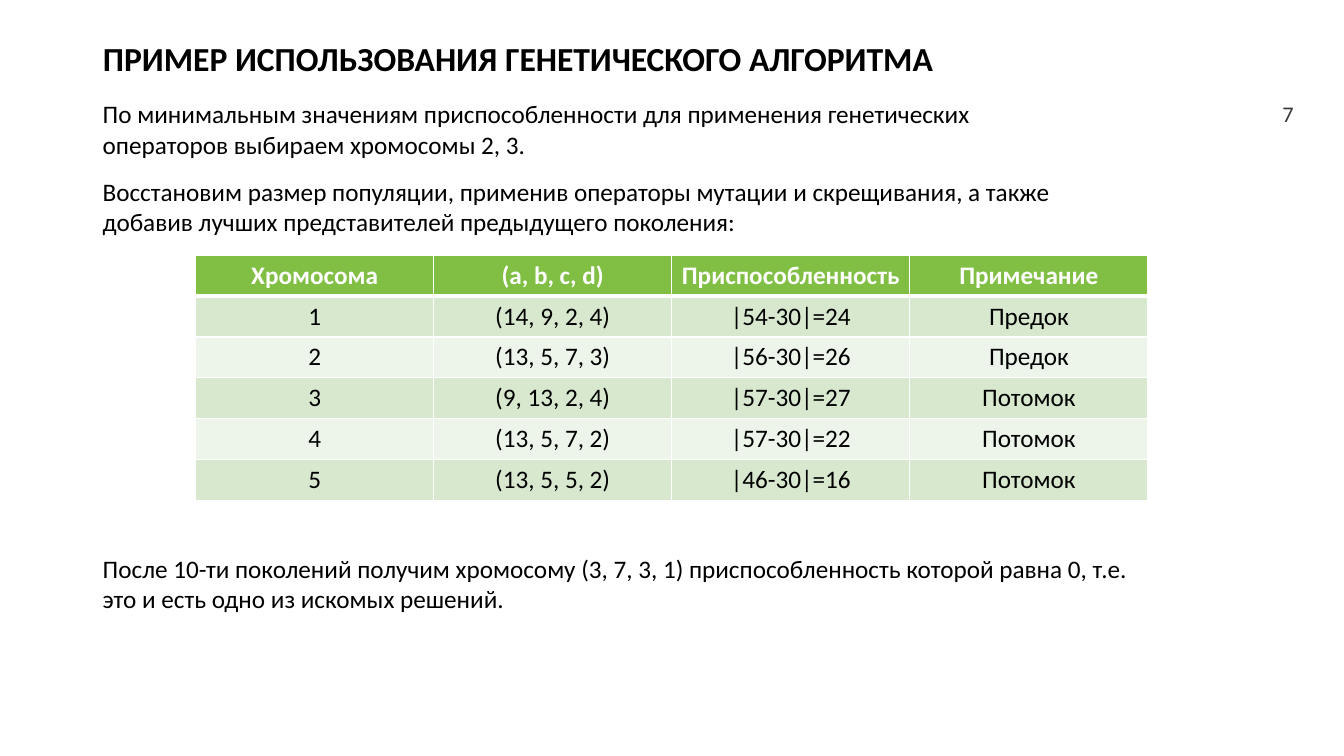
from dataclasses import dataclass

from lxml.etree import SubElement
from pptx import Presentation
from pptx.dml.color import RGBColor
from pptx.enum.text import MSO_ANCHOR as Anchor, MSO_AUTO_SIZE as AutoSize, PP_ALIGN as Align
from pptx.oxml.ns import qn
from pptx.util import Cm, Pt


@dataclass(frozen=True)
class Theme:
    font: str = "Calibri"
    ink: str = "000000"
    white: str = "FFFFFF"
    number: str = "3B3838"
    header: str = "80BF44"
    bands: tuple = ("D8E8CF", "EDF4E9")
    title_size: int = 24
    body_size: int = 18
    number_size: int = 16
    rule: int = 1
    header_rule: int = 3


THEME = Theme()

TITLE = "ПРИМЕР ИСПОЛЬЗОВАНИЯ ГЕНЕТИЧЕСКОГО АЛГОРИТМА"
SELECTION = ("По минимальным значениям приспособленности для применения "
             "генетических операторов выбираем хромосомы 2, 3.")
RECOVERY = ("Восстановим размер популяции, применив операторы мутации и скрещивания, "
            "а также добавив лучших представителей предыдущего поколения:")
RESULT = ("После 10-ти поколений получим хромосому (3, 7, 3, 1) приспособленность "
          "которой равна 0, т.е. это и есть одно из искомых решений.")
POPULATION = [
    ("Хромосома", "(a, b, c, d)", "Приспособленность", "Примечание"),
    ("1", "(14, 9, 2, 4)", "|54-30|=24", "Предок"),
    ("2", "(13, 5, 7, 3)", "|56-30|=26", "Предок"),
    ("3", "(9, 13, 2, 4)", "|57-30|=27", "Потомок"),
    ("4", "(13, 5, 7, 2)", "|57-30|=22", "Потомок"),
    ("5", "(13, 5, 5, 2)", "|46-30|=16", "Потомок"),
]


def write(para, text, size, color=THEME.ink, bold=False, align=Align.LEFT):
    para.alignment = align
    span = para.add_run()
    span.text = text
    span.font.name = THEME.font
    span.font.size = Pt(size)
    span.font.bold = bold
    span.font.color.rgb = RGBColor.from_string(color)


def add_title(page, left, top, width, height):
    title = page.shapes.title
    title.left, title.top, title.width, title.height = left, top, width, height
    frame = title.text_frame
    frame.vertical_anchor = Anchor.MIDDLE
    frame.auto_size = AutoSize.NONE
    para = frame.paragraphs[0]
    para.line_spacing = 0.9
    write(para, TITLE, THEME.title_size, bold=True)


def add_number(page, left, top, width, height):
    box = page.shapes.add_textbox(left, top, width, height)
    frame = box.text_frame
    frame.word_wrap = True
    frame.vertical_anchor = Anchor.MIDDLE
    write(frame.paragraphs[0], "7", THEME.number_size, THEME.number, align=Align.RIGHT)


def add_passage(page, text, left, top, width, height):
    box = page.shapes.add_textbox(left, top, width, height)
    frame = box.text_frame
    frame.word_wrap = True
    frame.auto_size = AutoSize.SHAPE_TO_FIT_TEXT
    write(frame.paragraphs[0], text, THEME.body_size)


def set_borders(cell, top, bottom):
    properties = cell._tc.get_or_add_tcPr()
    widths = {"a:lnL": THEME.rule, "a:lnR": THEME.rule, "a:lnT": top, "a:lnB": bottom}
    for side, width in widths.items():
        line = SubElement(properties, qn(side), w=str(Pt(width)))
        fill = SubElement(line, qn("a:solidFill"))
        SubElement(fill, qn("a:srgbClr"), val=THEME.white)


def add_population(page, left, top, width, height):
    table = page.shapes.add_table(len(POPULATION), len(POPULATION[0]),
                                  left, top, width, height).table
    for row, values in enumerate(POPULATION):
        header = row == 0
        fill = THEME.header if header else THEME.bands[(row - 1) % 2]
        for column, text in enumerate(values):
            cell = table.cell(row, column)
            cell.margin_left = cell.margin_right = Cm(0.2)
            set_borders(cell,
                        top=THEME.header_rule if row == 1 else THEME.rule,
                        bottom=THEME.header_rule if header else THEME.rule)
            cell.fill.solid()
            cell.fill.fore_color.rgb = RGBColor.from_string(fill)
            write(cell.text_frame.paragraphs[0], text, THEME.body_size,
                  THEME.white if header else THEME.ink, header, Align.CENTER)


def build_example(deck):
    page = deck.slides.add_slide(deck.slide_layouts[5])
    page.background.fill.solid()
    page.background.fill.fore_color.rgb = RGBColor.from_string(THEME.white)
    margin = Cm(2.34)

    # Heading and slide number
    add_number(page, Cm(31.55), Cm(2.34), Cm(1.3), Cm(1.02))
    add_title(page, margin, Cm(0.43), Cm(27.38), Cm(2.21))

    # Selection, new population and result
    add_passage(page, SELECTION, margin, Cm(2.36), Cm(25.53), Cm(1.8))
    add_population(page, Cm(4.93), Cm(6.43), Cm(24), Cm(6.18))
    add_passage(page, RECOVERY, margin, Cm(4.32), Cm(25.53), Cm(1.8))
    add_passage(page, RESULT, margin, Cm(13.82), Cm(26.59), Cm(1.8))


def main():
    deck = Presentation()
    deck.slide_width, deck.slide_height = Cm(33.87), Cm(19.05)
    build_example(deck)
    deck.save("out.pptx")


if __name__ == "__main__":
    main()
